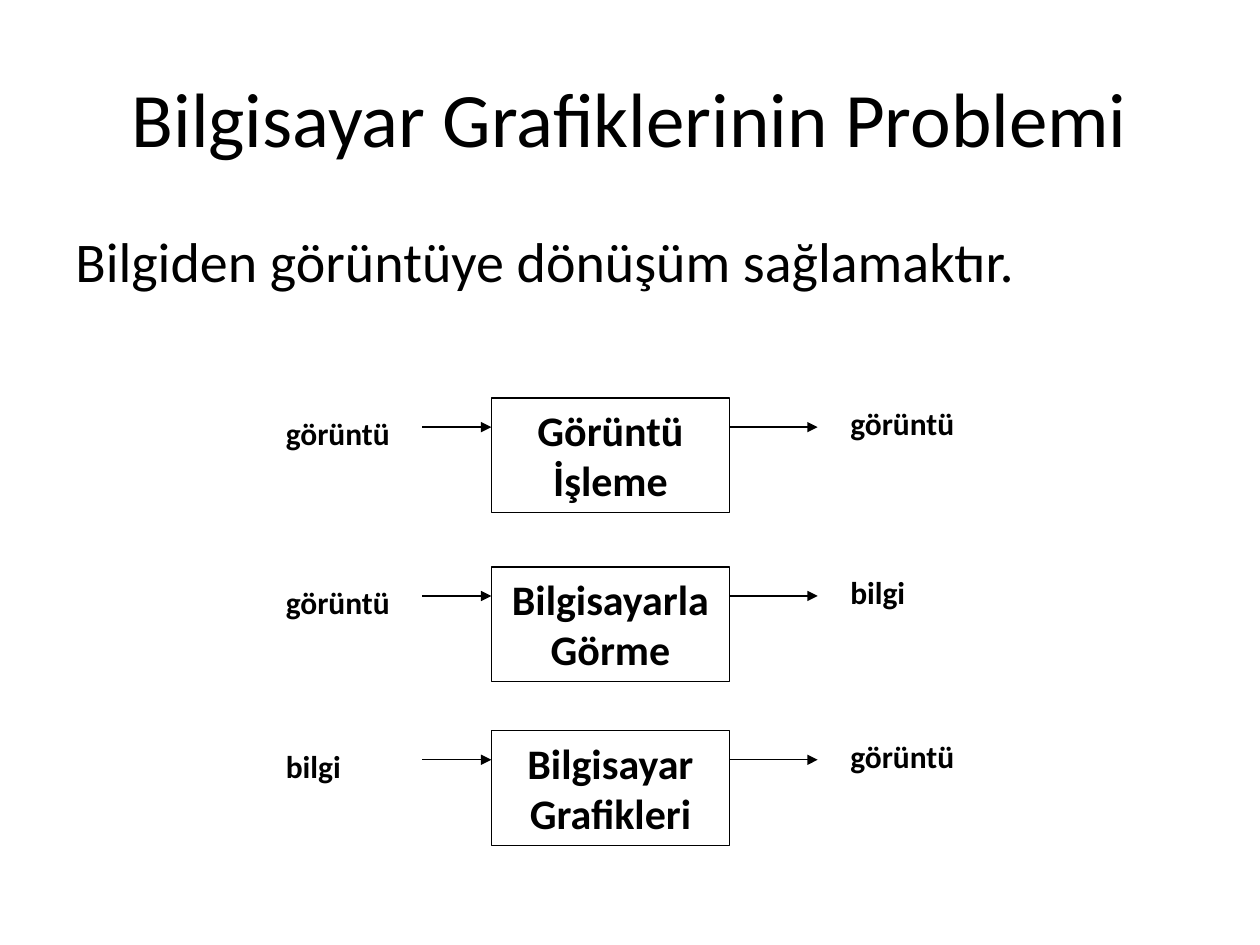
from pptx import Presentation
from pptx.dml.color import RGBColor
from pptx.enum.shapes import MSO_CONNECTOR, MSO_SHAPE
from pptx.enum.text import MSO_ANCHOR, MSO_AUTO_SIZE, PP_ALIGN
from pptx.oxml.ns import qn
from pptx.util import Inches, Pt
from lxml.etree import SubElement


def color(value):
    return RGBColor.from_string(value)


class SlideBuilder:
    font_name = "Calibri"
    ink = "000000"
    line_width = Pt(0.75)

    def __init__(self, slide):
        self.slide = slide

    def format_text(self, shape, text, size, bold=False, align=PP_ALIGN.LEFT,
                    anchor=MSO_ANCHOR.TOP):
        frame = shape.text_frame
        frame.word_wrap = True
        frame.vertical_anchor = anchor
        frame.text = text
        para = frame.paragraphs[0]
        para.alignment = align
        para.font.name = self.font_name
        para.font.size = Pt(size)
        para.font.bold = bold
        para.font.color.rgb = color(self.ink)

    def title(self, text, left, top, width, height):
        title = self.slide.shapes.title
        title.left, title.top = Inches(left), Inches(top)
        title.width, title.height = Inches(width), Inches(height)
        self.format_text(title, text, 44, align=PP_ALIGN.CENTER, anchor=MSO_ANCHOR.MIDDLE)

    def bullet(self, text, left, top, width, height):
        box = self.slide.shapes.add_textbox(
            Inches(left), Inches(top), Inches(width), Inches(height))
        properties = box.text_frame.paragraphs[0]._p.get_or_add_pPr()
        properties.set("marL", str(Inches(0.38)))
        properties.set("indent", str(Inches(-0.38)))
        SubElement(properties, qn("a:buFont")).set("typeface", "Arial")
        SubElement(properties, qn("a:buChar")).set("char", "•")
        self.format_text(box, text, 32)

    def label(self, group, text, left, top):
        box = group.shapes.add_textbox(
            Inches(left), Inches(top), Inches(1.1), Inches(0.4))
        self.format_text(box, text, 18, bold=True)
        box.text_frame.auto_size = MSO_AUTO_SIZE.SHAPE_TO_FIT_TEXT

    def process_box(self, group, text, left, top, width, height):
        box = group.shapes.add_shape(
            MSO_SHAPE.RECTANGLE, Inches(left), Inches(top), Inches(width), Inches(height))
        box.shadow.inherit = False
        box.fill.background()
        box.line.color.rgb = color(self.ink)
        box.line.width = self.line_width
        self.format_text(box, text, 24, bold=True, align=PP_ALIGN.CENTER)
        box.text_frame.auto_size = MSO_AUTO_SIZE.SHAPE_TO_FIT_TEXT

    def arrow(self, group, start, end, y):
        arrow = group.shapes.add_connector(
            MSO_CONNECTOR.STRAIGHT, Inches(start), Inches(y), Inches(end), Inches(y))
        arrow.line.color.rgb = color(self.ink)
        arrow.line.width = self.line_width
        SubElement(arrow.line._get_or_add_ln(), qn("a:tailEnd")).set("type", "triangle")
        SubElement(arrow._element.spPr, qn("a:effectLst"))

    def process_row(self, source, process, result, top):
        group = self.slide.shapes.add_group_shape()
        self.process_box(group, process, 3.9, top, 1.89, 0.91)
        self.arrow(group, 3.35, 3.9, top + 0.23)
        self.arrow(group, 5.79, 6.49, top + 0.23)
        self.label(group, source, 2.17, top + 0.08)
        self.label(group, result, 6.65, top)


def main():
    deck = Presentation()
    deck.slide_width, deck.slide_height = Inches(10), Inches(7.5)
    builder = SlideBuilder(deck.slides.add_slide(deck.slide_layouts[5]))
    builder.title("Bilgisayar Grafiklerinin Problemi", 0.5, 0.3, 9, 1.25)
    builder.bullet("Bilgiden görüntüye dönüşüm sağlamaktır.", 0.5, 1.75, 9, 4.95)
    rows = [
        ("görüntü", "Görüntü İşleme", "görüntü", 3.16),
        ("görüntü", "Bilgisayarla Görme", "bilgi", 4.5),
        ("bilgi", "Bilgisayar Grafikleri", "görüntü", 5.8),
    ]
    for row in rows:
        builder.process_row(*row)
    deck.save("out.pptx")


if __name__ == "__main__":
    main()
